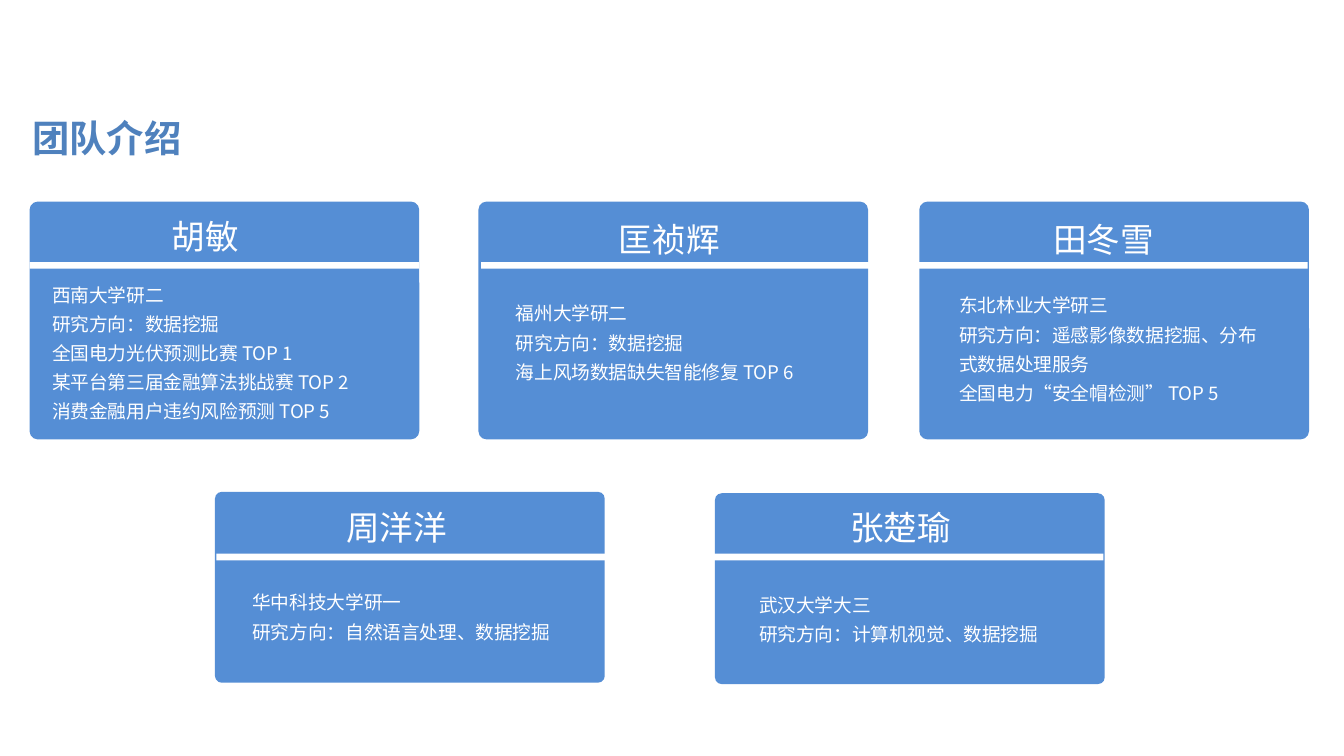
from dataclasses import dataclass

from pptx import Presentation
from pptx.dml.color import RGBColor
from pptx.enum import shapes, text
from pptx.oxml import ns
from pptx.util import Inches, Pt

FONT = "Noto Sans CJK SC"
BLUE, TITLE_BLUE, WHITE = "558ED5", "4F81BD", "FFFFFF"
SLIDE_WIDTH = 10
CARD_WIDTH, BAR_HEIGHT = 2.9, 0.05
NAME_WIDTH, NAME_HEIGHT = 1.14, 0.49
BODY_WIDTH, LINE_HEIGHT = 2.53, 0.22


@dataclass
class Member:
    name: str
    lines: list
    card: tuple  # left, top, height
    bar: tuple  # left, top
    name_at: tuple
    body_at: tuple


UPPER, LOWER = 1.77, 1.42
MEMBERS = [
    Member("胡敏",
           ["西南大学研二", "研究方向：数据挖掘", "全国电力光伏预测比赛 TOP 1",
            "某平台第三届金融算法挑战赛 TOP 2", "消费金融用户违约风险预测 TOP 5"],
           (0.22, 1.5, UPPER), (0.22, 1.95), (0.96, 1.47), (0.29, 2.01)),
    Member("匡祯辉",
           ["福州大学研二", "研究方向：数据挖掘", "海上风场数据缺失智能修复 TOP 6"],
           (3.56, 1.5, UPPER), (3.58, 1.95), (4.41, 1.49), (3.74, 2.15)),
    Member("田冬雪",
           ["东北林业大学研三", "研究方向：遥感影像数据挖掘、分布式数据处理服务",
            "全国电力“安全帽检测” TOP 5"],
           (6.84, 1.5, UPPER), (6.83, 1.95), (7.64, 1.49), (7.04, 2.09)),
    Member("周洋洋",
           ["华中科技大学研一", "研究方向：自然语言处理、数据挖掘"],
           (1.6, 3.66, LOWER), (1.61, 4.12), (2.38, 3.63), (1.78, 4.3)),
    Member("张楚瑜",
           ["武汉大学大三", "研究方向：计算机视觉、数据挖掘"],
           (5.32, 3.67, LOWER), (5.31, 4.12), (6.13, 3.63), (5.55, 4.32)),
]


def color(value):
    return RGBColor.from_string(value)


def add_block(page, kind, left, top, width, height, fill):
    block = page.shapes.add_shape(
        kind, Inches(left), Inches(top), Inches(width), Inches(height))
    block.shadow.inherit = False
    block.fill.solid()
    block.fill.fore_color.rgb = color(fill)
    block.line.fill.background()
    return block


def add_text(page, lines, left, top, width, height, size, fill=WHITE,
             bold=False, align=text.PP_ALIGN.LEFT, spacing=1.3, wrap=True):
    box = page.shapes.add_textbox(
        Inches(left), Inches(top), Inches(width), Inches(height))
    frame = box.text_frame
    frame.word_wrap = wrap
    frame.auto_size = text.MSO_AUTO_SIZE.SHAPE_TO_FIT_TEXT
    frame.text = "\n".join(lines)
    for para in frame.paragraphs:
        para.alignment = align
        para.line_spacing = spacing
        for span in para.runs:
            span.font.size = Pt(size)
            span.font.bold = bold
            span.font.name = FONT
            span.font.color.rgb = color(fill)
            # East Asian characters take their own font setting
            east_asian = span.font._element.makeelement(
                ns.qn("a:ea"), {"typeface": FONT})
            span.font._element.find(ns.qn("a:latin")).addnext(east_asian)


def add_member(page, member):
    # Card
    left, top, height = member.card
    card = add_block(page, shapes.MSO_SHAPE.ROUNDED_RECTANGLE,
                     left, top, CARD_WIDTH, height, BLUE)
    card.adjustments[0] = 0.035

    # Details and name
    body_height = 0.1 + LINE_HEIGHT * len(member.lines)
    add_text(page, member.lines, *member.body_at, BODY_WIDTH, body_height, 10)
    add_text(page, [member.name], *member.name_at, NAME_WIDTH, NAME_HEIGHT, 18,
             align=text.PP_ALIGN.CENTER)

    # Divider
    add_block(page, shapes.MSO_SHAPE.RECTANGLE,
              *member.bar, CARD_WIDTH, BAR_HEIGHT, WHITE)


def main():
    # Widescreen deck, 16:9
    deck = Presentation()
    deck.slide_width = Inches(SLIDE_WIDTH)
    deck.slide_height = Inches(SLIDE_WIDTH * 9 / 16)
    page = deck.slides.add_slide(deck.slide_layouts[6])

    # Heading
    add_text(page, ["团队介绍"], 0.14, 0.81, 1.31, 0.44, 20, TITLE_BLUE,
             bold=True, spacing=1.0, wrap=False)

    # Team cards
    for member in MEMBERS:
        add_member(page, member)

    deck.save("out.pptx")


if __name__ == "__main__":
    main()
